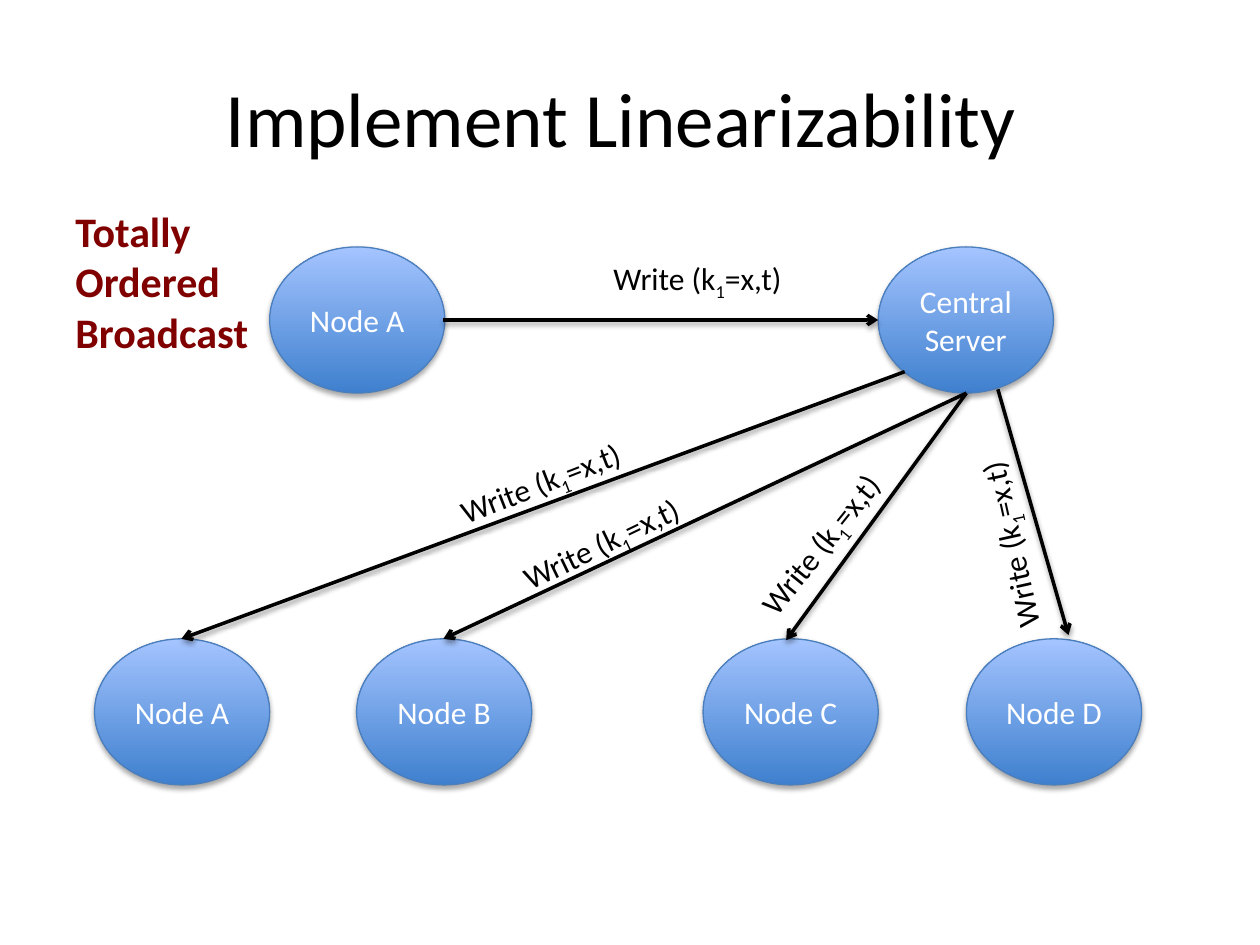
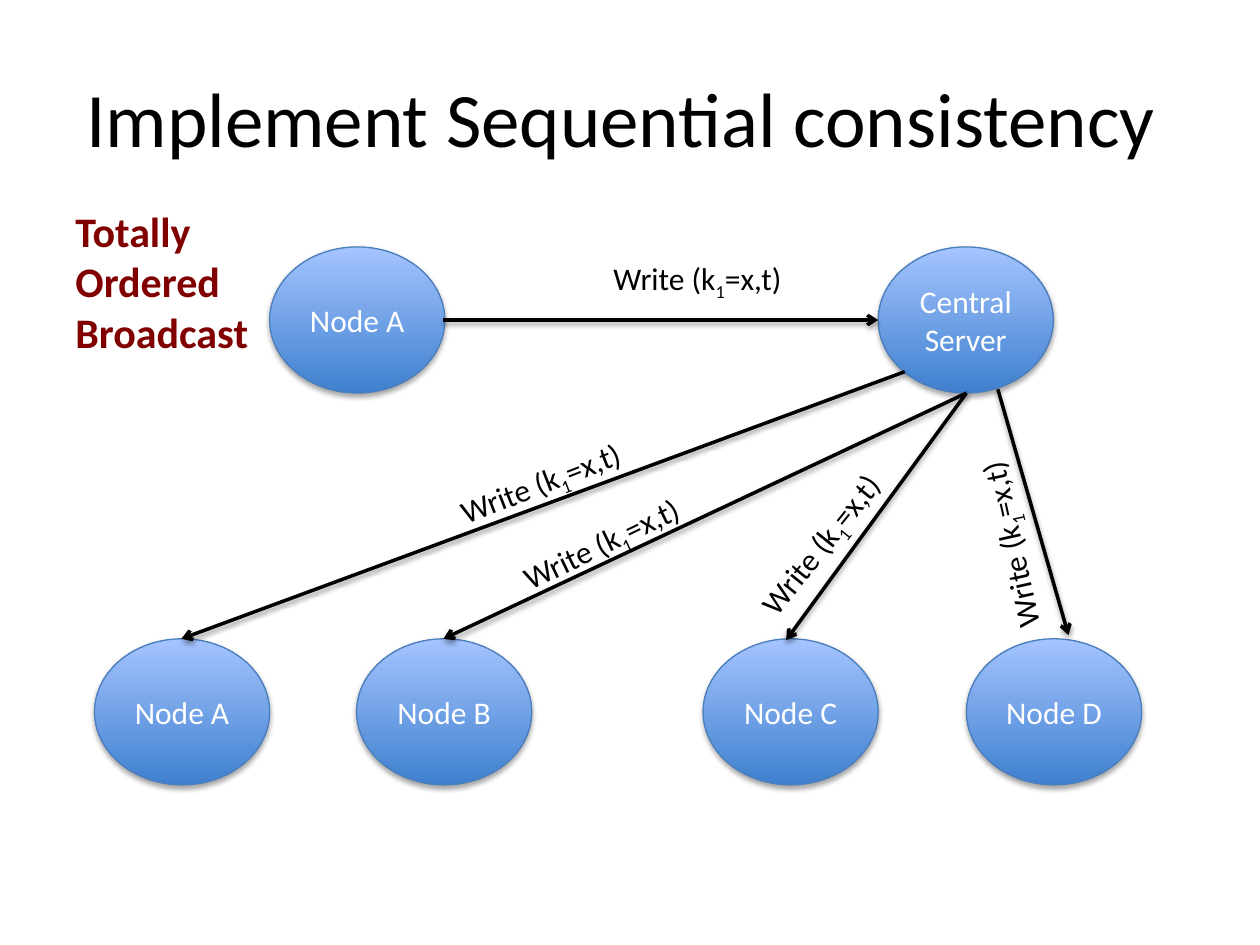
"""Build two slides showing a totally ordered broadcast through a central server."""
import dataclasses

import lxml.etree
import pptx
import pptx.dml.color
import pptx.enum.shapes
import pptx.enum.text
import pptx.oxml.ns
import pptx.util

Inches = pptx.util.Inches
Pt = pptx.util.Pt
RGB = pptx.dml.color.RGBColor
qn = pptx.oxml.ns.qn


@dataclasses.dataclass(frozen=True)
class Theme:
    font: str = "Calibri"
    ink: RGB = RGB.from_string("000000")
    node_text: RGB = RGB.from_string("FFFFFF")
    node_bottom: RGB = RGB.from_string("3F80CE")
    node_top: RGB = RGB.from_string("A4C4FF")
    node_edge: RGB = RGB.from_string("4B7EBC")
    accent: RGB = RGB.from_string("800000")
    title_size: Pt = Pt(44)
    heading_size: Pt = Pt(24)
    body_size: Pt = Pt(18)
    edge_width: Pt = Pt(0.75)
    arrow_width: Pt = Pt(2)


theme = Theme()


def style_text(paragraph, size, color, bold=None):
    paragraph.font.name = theme.font
    paragraph.font.size = size
    paragraph.font.color.rgb = color
    paragraph.font.bold = bold


def add_shadow(properties, distance, opacity):
    effects = properties.find(qn("a:effectLst"))
    if effects is None:
        effects = lxml.etree.SubElement(properties, qn("a:effectLst"))
    shadow = lxml.etree.SubElement(
        effects, qn("a:outerShdw"), blurRad=str(Pt(3.1)), dist=str(Pt(distance)),
        dir="5400000", rotWithShape="0")
    tint = lxml.etree.SubElement(shadow, qn("a:srgbClr"), val=str(theme.ink))
    lxml.etree.SubElement(tint, qn("a:alpha"), val=str(opacity * 1000))


TITLES = ["Implement Linearizability ", "Implement Sequential consistency "]
HEADING = ["Totally", "Ordered", "Broadcast"]
NODE_WIDTH, NODE_HEIGHT = 1.39, 1.16
SENDER_ROW, REPLICA_ROW = 1.96, 5.07
NODES = [
    ("Node A", 2.14, SENDER_ROW),
    ("Central Server", 6.97, SENDER_ROW),
    ("Node A", 0.75, REPLICA_ROW),
    ("Node B", 2.83, REPLICA_ROW),
    ("Node C", 5.58, REPLICA_ROW),
    ("Node D", 7.67, REPLICA_ROW),
]
MESSAGES = [
    ((3.52, 2.54), (6.97, 2.54), (4.77, 2.01), 0),
    ((7.18, 2.95), (1.44, 5.07), (3.52, 3.62), 338.8),
    ((7.67, 3.12), (3.52, 5.07), (4, 4.1), 334.2),
    ((7.67, 3.12), (6.24, 5.08), (5.73, 4.1), 308.7),
    ((7.92, 3.09), (8.48, 5.04), (7.22, 4.1), 257.5),
]
MESSAGE_PARTS = [("Write (k", None), ("1", "-25000"), ("=x,t)", None)]

deck = pptx.Presentation()
deck.slide_width = Inches(10)
deck.slide_height = Inches(7.5)

for title_text in TITLES:
    slide = deck.slides.add_slide(deck.slide_layouts[5])
    title = slide.shapes.title
    title.left, title.top = Inches(0.5), Inches(0.3)
    title.width, title.height = Inches(9), Inches(1.25)
    title.text_frame.text = title_text
    title.text_frame.vertical_anchor = pptx.enum.text.MSO_ANCHOR.MIDDLE
    title.text_frame.paragraphs[0].alignment = pptx.enum.text.PP_ALIGN.CENTER
    style_text(title.text_frame.paragraphs[0], theme.title_size, theme.ink)

    for node_name, left, top in NODES:
        node = slide.shapes.add_shape(
            pptx.enum.shapes.MSO_SHAPE.OVAL, Inches(left), Inches(top),
            Inches(NODE_WIDTH), Inches(NODE_HEIGHT))
        node.fill.gradient()
        node.fill.gradient_angle = 90
        for stop, color in zip(node.fill.gradient_stops, (theme.node_bottom, theme.node_top)):
            stop.color.rgb = color
        node.line.color.rgb = theme.node_edge
        node.line.width = theme.edge_width
        node.shadow.inherit = False
        add_shadow(node.element.spPr, 1.8, 35)
        node.text_frame.text = node_name
        node.text_frame.vertical_anchor = pptx.enum.text.MSO_ANCHOR.MIDDLE
        node.text_frame.paragraphs[0].alignment = pptx.enum.text.PP_ALIGN.CENTER
        style_text(node.text_frame.paragraphs[0], theme.body_size, theme.node_text)

    for start, end, label_corner, angle in MESSAGES:
        arrow = slide.shapes.add_connector(
            pptx.enum.shapes.MSO_CONNECTOR.STRAIGHT,
            *(Inches(value) for value in start + end))
        arrow.line.color.rgb = theme.ink
        arrow.line.width = theme.arrow_width
        lxml.etree.SubElement(arrow.element.spPr.find(qn("a:ln")), qn("a:tailEnd"), type="arrow")
        add_shadow(arrow.element.spPr, 1.6, 38)

        label = slide.shapes.add_textbox(
            *(Inches(value) for value in label_corner), Inches(1.58), Inches(0.4))
        label.rotation = angle
        label.text_frame.word_wrap = False
        label.text_frame.auto_size = pptx.enum.text.MSO_AUTO_SIZE.SHAPE_TO_FIT_TEXT
        message = label.text_frame.paragraphs[0]
        style_text(message, theme.body_size, theme.ink)
        for part, baseline in MESSAGE_PARTS:
            run = message.add_run()
            run.text = part
            if baseline:
                run._r.get_or_add_rPr().set("baseline", baseline)

    heading = slide.shapes.add_textbox(Inches(0.5), Inches(1.58), Inches(1.6), Inches(1.31))
    heading.text_frame.word_wrap = False
    heading.text_frame.auto_size = pptx.enum.text.MSO_AUTO_SIZE.SHAPE_TO_FIT_TEXT
    heading.text_frame.text = "\n".join(HEADING)
    for line in heading.text_frame.paragraphs:
        style_text(line, theme.heading_size, theme.accent, True)

deck.save("out.pptx")
